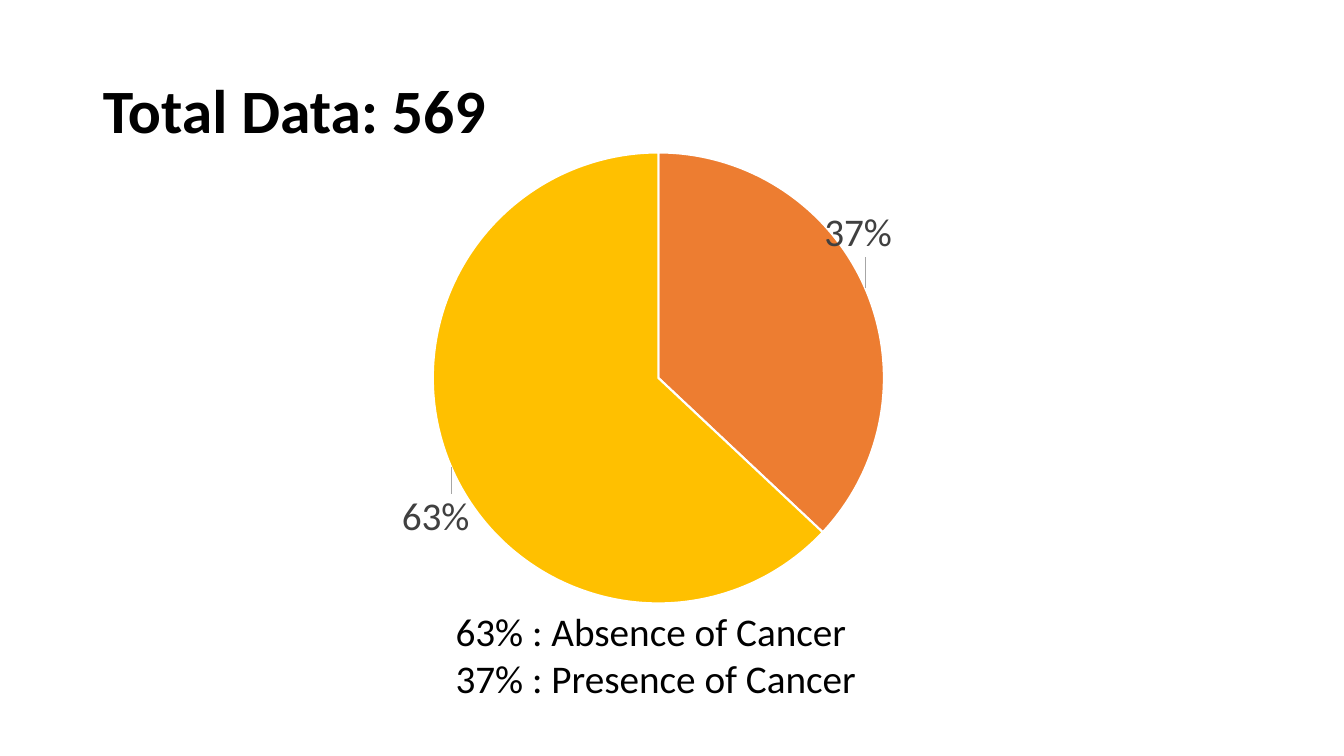
from lxml import etree
from pptx import Presentation
from pptx import util as u
from pptx.chart.data import CategoryChartData
from pptx.dml.color import RGBColor
from pptx.enum import chart as ch, text
from pptx.oxml import parse_xml
from pptx.oxml.ns import nsdecls

BLACK = RGBColor(0x00, 0x00, 0x00)
WHITE = RGBColor(0xFF, 0xFF, 0xFF)
GREY = RGBColor(0x40, 0x40, 0x40)
ORANGE = RGBColor(0xED, 0x7D, 0x31)
GOLD = RGBColor(0xFF, 0xC0, 0x00)

PX = u.Inches(1) // 100
FONT = "Calibri"
TITLE_ONLY = 5


def manual_layout(x, y, **extra):
    """Chart layout whose lengths are fractions of the chart's size."""
    parts = dict(extra, x=x, y=y)
    layout = parse_xml(f"<c:layout {nsdecls('c')}><c:manualLayout/></c:layout>")
    order = ("layoutTarget", "xMode", "yMode", "x", "y", "w", "h")
    ns = layout.nsmap["c"]
    for key in order:
        if key in parts:
            etree.SubElement(layout[0], f"{{{ns}}}{key}").set("val", str(parts[key]))
    return layout


class Deck:
    def __init__(self, width, height):
        self.prs = Presentation()
        self.prs.slide_width = width * PX
        self.prs.slide_height = height * PX
        self.slide = self.prs.slides.add_slide(self.prs.slide_layouts[TITLE_ONLY])

    def style(self, font, size, color=BLACK, bold=False):
        font.name = FONT
        font.size = u.Pt(size)
        font.bold = bold
        font.color.rgb = color

    def title(self, words, *box):
        sp = self.slide.shapes.title
        sp.left, sp.top, sp.width, sp.height = (n * PX for n in box)
        tf = sp.text_frame
        tf.text = words
        tf.auto_size = text.MSO_AUTO_SIZE.NONE
        tf.vertical_anchor = text.MSO_ANCHOR.MIDDLE
        p = tf.paragraphs[0]
        p.alignment = text.PP_ALIGN.LEFT
        p.line_spacing = 0.9
        self.style(p.runs[0].font, 44, bold=True)

    def caption(self, lines, *box):
        tf = self.slide.shapes.add_textbox(*(n * PX for n in box)).text_frame
        tf.word_wrap = True
        tf.auto_size = text.MSO_AUTO_SIZE.SHAPE_TO_FIT_TEXT
        tf.text = "\n".join(lines)
        for p in tf.paragraphs:
            self.style(p.runs[0].font, 28)

    def pie(self, slices, *box):
        """Each slice is (category, value, colour, label offset x, y)."""
        data = CategoryChartData()
        data.categories = [s[0] for s in slices]
        data.add_series("Series 1", [s[1] for s in slices])
        chart = self.slide.shapes.add_chart(
            ch.XL_CHART_TYPE.PIE, *(n * PX for n in box), data).chart
        chart.has_title = chart.has_legend = False
        self.style(chart.font, 28)
        plot = chart.plots[0]
        plot.vary_by_categories = True

        area = chart._chartSpace.chart.plotArea
        for old in area.xpath("c:layout"):
            area.remove(old)
        width, height = 0.39, 0.94
        area.insert(0, manual_layout(
            (1 - width) / 2, (1 - height) / 2, w=width, h=height,
            layoutTarget="inner", xMode="edge", yMode="edge"))

        series = plot.series[0]
        labels = series.data_labels
        self.style(labels.font, 28, GREY)
        labels.show_value = False
        labels.show_percentage = True
        labels.number_format = "0%"
        labels.number_format_is_linked = False
        for i, (_, _, color, dx, dy) in enumerate(slices):
            point = series.points[i]
            point.format.fill.solid()
            point.format.fill.fore_color.rgb = color
            point.format.line.color.rgb = WHITE
            point.format.line.width = u.Pt(1.5)
            label = point.data_label
            self.style(label.font, 28, GREY)
            label.position = ch.XL_LABEL_POSITION.OUTSIDE_END
            dLbl = labels._element.xpath(f"c:dLbl[c:idx/@val='{i}']")[0]
            dLbl.insert(1, manual_layout(dx, dy))
            dLbl.xpath("c:showVal")[0].set("val", "0")
            dLbl.xpath("c:showPercent")[0].set("val", "1")
        labels._element.append(parse_xml(
            f"<c:leaderLines {nsdecls('c', 'a')}><c:spPr><a:ln w='9525'><a:solidFill>"
            "<a:srgbClr val='A6A6A6'/></a:solidFill></a:ln></c:spPr></c:leaderLines>"))


def main():
    deck = Deck(1333, 750)
    deck.title("Total Data: 569", 92, 40, 1150, 145)
    deck.pie([("1", 37, ORANGE, -0.04, -0.06), ("2", 63, GOLD, 0.02, 0.05)],
             78, 137, 1150, 476)
    deck.caption(["63% : Absence of Cancer", "37% : Presence of Cancer"],
                 442, 598, 624, 104)
    deck.prs.save("out.pptx")


if __name__ == "__main__":
    main()
